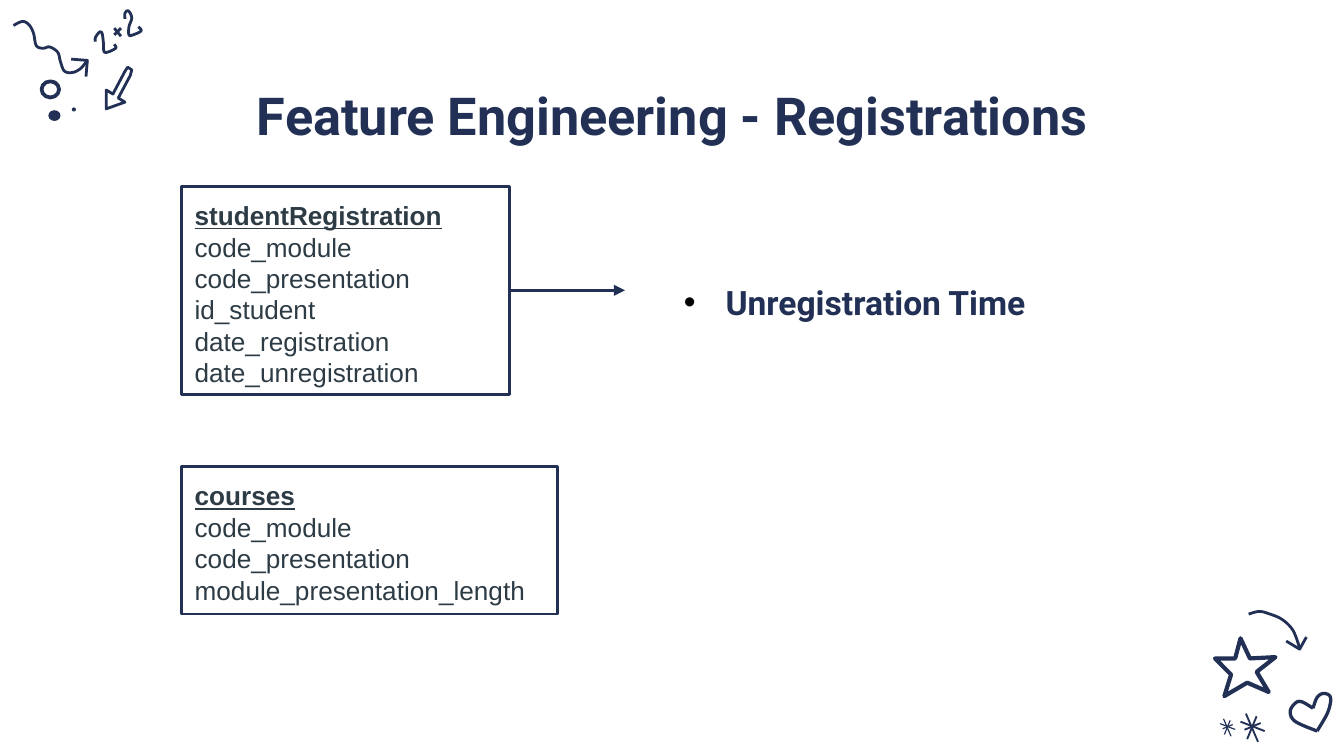
from dataclasses import dataclass

from lxml.etree import SubElement
from pptx import Presentation
from pptx.dml.color import RGBColor
from pptx.enum.shapes import MSO_CONNECTOR, MSO_SHAPE
from pptx.enum.text import MSO_ANCHOR, MSO_AUTO_SIZE, PP_ALIGN
from pptx.oxml.ns import qn
from pptx.shapes.autoshape import Shape
from pptx.slide import Slide
from pptx.text.text import _Paragraph
from pptx.util import Inches, Pt

NAVY = RGBColor(0x21, 0x30, 0x54)
SLATE = RGBColor(0x2D, 0x3B, 0x45)
COLUMNS, ROWS = 1000, 562.5
CELL = Inches(0.01)
CURVE_STEPS = 6

Point = tuple[float, float]


@dataclass(frozen=True)
class Area:
    column: float
    row: float
    columns: float
    rows: float

    def lengths(self) -> list[int]:
        return [round(n * CELL) for n in (self.column, self.row, self.columns, self.rows)]


@dataclass(frozen=True)
class Source:
    name: str
    fields: tuple[str, ...]
    area: Area


@dataclass(frozen=True)
class Stroke:
    points: tuple[Point, ...]
    weight: float = 1.5
    curved: bool = True
    closed: bool = False


@dataclass(frozen=True)
class Dot:
    area: Area
    filled: bool = True


COURSES = Source(
    "courses",
    ("code_module", "code_presentation", "module_presentation_length"),
    Area(135, 347, 280, 110),
)
REGISTRATION = Source(
    "studentRegistration",
    ("code_module", "code_presentation", "id_student", "date_registration", "date_unregistration"),
    Area(135, 138.5, 244, 155),
)

UPPER_TWO = Stroke(((93, 14), (93, 10), (95, 8), (97, 10), (98, 14), (96, 20),
                    (96, 26), (99, 26), (105, 23), (103, 20)))
LOWER_TWO = Stroke(((71, 31), (71, 28), (74, 24), (76, 25), (77, 32), (78, 39),
                    (86, 36), (85, 33)))
TIMES = (Stroke(((85, 21), (90, 27)), curved=False), Stroke(((90, 21), (85, 26)), curved=False))
SQUIGGLE = Stroke(((10, 19), (17, 16), (22, 19), (25, 25), (27, 34), (32, 36), (37, 35),
                   (43, 39), (45, 46), (48, 53), (54, 54), (60, 51), (65, 45)))
SQUIGGLE_HEAD = Stroke(((53, 44), (65, 45), (64, 57)), curved=False)
BLOCK_ARROW = Stroke(((79, 81), (79, 67), (84, 70), (93, 53), (95, 50), (98, 52), (97, 56),
                      (88, 73), (93, 76)), curved=False, closed=True)
STAR = Stroke(((923, 475), (930, 490), (949, 489), (935, 500), (944, 515), (928, 508),
               (911, 518), (916, 502), (904, 490), (919, 490)), 2.25, curved=False, closed=True)
ARC = Stroke(((929, 457), (937, 455), (945, 457), (954, 461), (962, 469), (967, 482)))
ARC_HEAD = Stroke(((957, 477), (967, 483), (972, 474)), curved=False)
HEART = (
    Stroke(((980, 544), (964, 537), (960, 530), (963, 524), (968, 522), (977, 527)), 1.75),
    Stroke(((977, 527), (980, 519), (985, 516), (990, 519), (988, 530), (980, 544)), 1.75),
)
STROKES = (UPPER_TWO, LOWER_TWO, *TIMES, SQUIGGLE, SQUIGGLE_HEAD, BLOCK_ARROW,
           STAR, ARC, ARC_HEAD, *HEART)
DOTS = (Dot(Area(31, 60.5, 13, 12), False), Dot(Area(36, 82, 9, 8)), Dot(Area(53.5, 80, 3, 3)))
RAYS = (((-5, -10), (4, 11)), ((-9, -4), (9, 3)), ((3, -8), (-4, 9)), ((6, -3), (-6, 2)))


def asterisk(column: float, row: float, scale: float) -> list[Stroke]:
    return [
        Stroke(tuple((column + x * scale, row + y * scale) for x, y in ray), scale, False)
        for ray in RAYS
    ]


def smooth(points: tuple[Point, ...]) -> list[Point]:
    padded = (points[0], *points, points[-1])
    curve = [points[0]]
    for a, b, c, d in zip(padded, padded[1:], padded[2:], padded[3:]):
        for step in range(1, CURVE_STEPS + 1):
            t = step / CURVE_STEPS
            curve.append(tuple(
                q + (r - p) * t / 2 + (2 * p - 5 * q + 4 * r - s) * t**2 / 2
                + (3 * q - p - 3 * r + s) * t**3 / 2
                for p, q, r, s in zip(a, b, c, d)
            ))
    return curve


def outline(shape: Shape, weight: float) -> None:
    shape.shadow.inherit = False
    shape.fill.background()
    shape.line.color.rgb = NAVY
    shape.line.width = Pt(weight)


def draw_stroke(slide: Slide, stroke: Stroke) -> None:
    points = smooth(stroke.points) if stroke.curved else stroke.points
    start, *rest = [(x * CELL, y * CELL) for x, y in points]
    builder = slide.shapes.build_freeform(*start)
    builder.add_line_segments(rest, close=stroke.closed)
    outline(builder.convert_to_shape(), stroke.weight)


def draw_dot(slide: Slide, dot: Dot) -> None:
    shape = slide.shapes.add_shape(MSO_SHAPE.OVAL, *dot.area.lengths())
    outline(shape, 2)
    if dot.filled:
        shape.fill.solid()
        shape.fill.fore_color.rgb = NAVY
        shape.line.fill.background()


def format_text(para: _Paragraph, font: str, size: float, color: RGBColor, bold: bool) -> None:
    for span in para.runs:
        span.font.name = font
        span.font.size = Pt(size)
        span.font.color.rgb = color
        span.font.bold = bold


def set_insets(shape: Shape) -> None:
    frame = shape.text_frame
    frame.word_wrap = True
    frame.margin_left = frame.margin_right = frame.margin_top = frame.margin_bottom = Inches(0.1)


def draw_title(slide: Slide, text: str) -> None:
    box = slide.shapes.add_textbox(*Area(78, 59, 844, 52).lengths())
    set_insets(box)
    box.text_frame.vertical_anchor = MSO_ANCHOR.MIDDLE
    para = box.text_frame.paragraphs[0]
    para.text = text
    para.alignment = PP_ALIGN.CENTER
    format_text(para, "Roboto", 28, NAVY, True)


def draw_source(slide: Slide, source: Source) -> Shape:
    box = slide.shapes.add_shape(MSO_SHAPE.RECTANGLE, *source.area.lengths())
    outline(box, 1.5)
    set_insets(box)
    box.text_frame.vertical_anchor = MSO_ANCHOR.TOP
    box.text_frame.text = "\n".join((source.name, *source.fields))
    for index, para in enumerate(box.text_frame.paragraphs):
        para.alignment = PP_ALIGN.LEFT
        format_text(para, "Arial", 14, SLATE, index == 0)
    box.text_frame.paragraphs[0].runs[0].font.underline = True
    return box


def draw_feature(slide: Slide, text: str) -> None:
    box = slide.shapes.add_textbox(*Area(499, 190, 332, 52).lengths())
    box.text_frame.word_wrap = True
    box.text_frame.auto_size = MSO_AUTO_SIZE.SHAPE_TO_FIT_TEXT
    para = box.text_frame.paragraphs[0]
    para.text = text
    para.line_spacing = 1.5
    format_text(para, "Roboto", 18, NAVY, True)
    properties = para._p.get_or_add_pPr()
    properties.set("marL", str(Inches(0.31)))
    properties.set("indent", str(-Inches(0.31)))
    SubElement(SubElement(properties, qn("a:buClr")), qn("a:srgbClr"), val="000000")
    SubElement(properties, qn("a:buFont"), typeface="Arial")
    SubElement(properties, qn("a:buChar"), char="•")


def draw_arrow(slide: Slide, box: Shape, end_column: float) -> None:
    middle = box.top + box.height // 2
    arrow = slide.shapes.add_connector(
        MSO_CONNECTOR.STRAIGHT, box.left + box.width, middle, round(end_column * CELL), middle
    )
    arrow.begin_connect(box, 3)
    arrow.line.color.rgb = NAVY
    arrow.line.width = Pt(1.5)
    SubElement(arrow.line._get_or_add_ln(), qn("a:tailEnd"), type="triangle")
    SubElement(arrow._element.spPr, qn("a:effectLst"))


def main() -> None:
    deck = Presentation()
    deck.slide_width, deck.slide_height = COLUMNS * CELL, round(ROWS * CELL)
    page = deck.slides.add_slide(deck.slide_layouts[6])
    for stroke in (*STROKES, *asterisk(932, 541, 1), *asterisk(913.5, 541, 0.62)):
        draw_stroke(page, stroke)
    for dot in DOTS:
        draw_dot(page, dot)
    draw_title(page, "Feature Engineering - Registrations")
    draw_source(page, COURSES)
    draw_feature(page, "Unregistration Time")
    draw_arrow(page, draw_source(page, REGISTRATION), 465)
    deck.save("out.pptx")


if __name__ == "__main__":
    main()
